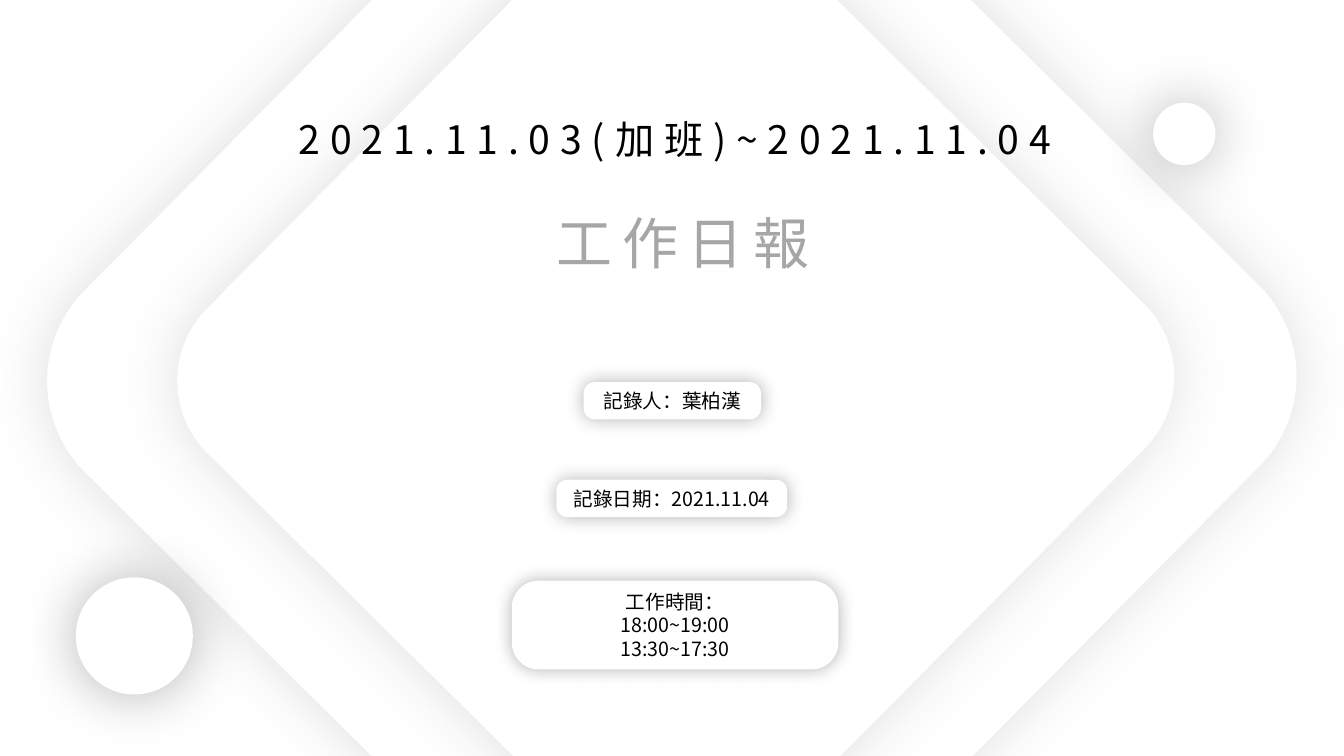
from lxml import etree
from pptx import Presentation
from pptx import util as u
from pptx.dml.color import RGBColor
from pptx.enum import shapes, text
from pptx.oxml.ns import qn

FACE = "Noto Sans CJK SC"
ROUND = shapes.MSO_SHAPE.ROUNDED_RECTANGLE
OVAL = shapes.MSO_SHAPE.OVAL


def paint(fill, shade):
    """Give a fill one solid colour."""
    fill.solid()
    fill.fore_color.rgb = RGBColor.from_string(shade)


def glow(shape, shade, alpha, blur):
    """Add a soft centred shadow, with alpha in percent and blur in points."""
    shape.shadow.inherit = False
    halo = shape.element.spPr.find(qn("a:effectLst"))
    outer = etree.SubElement(halo, qn("a:outerShdw"), blurRad=str(u.Pt(blur)),
                             dist="0", dir="0", algn="ctr", rotWithShape="0")
    tint = etree.SubElement(outer, qn("a:srgbClr"), val=shade)
    etree.SubElement(tint, qn("a:alpha"), val=str(alpha * 1000))


def panel(slide, kind, left, top, width, height, shade, alpha, blur):
    """Add a white shape without outline that casts a soft shadow."""
    shape = slide.shapes.add_shape(kind, u.Cm(left), u.Cm(top), u.Cm(width), u.Cm(height))
    paint(shape.fill, "FFFFFF")
    shape.line.fill.background()
    glow(shape, shade, alpha, blur)
    return shape


def write(shape, lines, size, shade, track=0, wrap=True):
    """Set centred lines of text in a shape, with tracking in points."""
    frame = shape.text_frame
    frame.text = "\n".join(lines)
    frame.word_wrap = wrap
    frame.auto_size = text.MSO_AUTO_SIZE.NONE
    frame.vertical_anchor = text.MSO_ANCHOR.MIDDLE
    frame.margin_left = frame.margin_right = frame.margin_top = frame.margin_bottom = 0
    for para in frame.paragraphs:
        para.alignment = text.PP_ALIGN.CENTER
        if len(lines) > 1:
            para.line_spacing = u.Pt(17)
        para.font.size = u.Pt(size)
        para.font.name = FACE
        paint(para.font.fill, shade)
        props = para.font.fill and shape.element.findall(".//" + qn("a:defRPr"))[-1]
        props.set("spc", str(track * 100))
        etree.SubElement(props, qn("a:ea"), typeface=FACE)


def diamond(slide, left, top, side):
    """Add a large rounded square turned on its corner."""
    shape = panel(slide, ROUND, left, top, side, side, "595959", 19, 43)
    shape.adjustments[0] = 0.134
    shape.rotation = 44.7


def badge(slide, left, top, width, height, *lines):
    """Add a rounded label with black text."""
    shape = panel(slide, ROUND, left, top, width, height, "000000", 30, 13)
    shape.adjustments[0] = 0.302
    write(shape, lines, 14, "000000", wrap=False)


def head(slide, words):
    """Move the title to the front, place it and format it."""
    title = slide.shapes.title
    title.element.getparent().append(title.element)
    title.left, title.top = u.Cm(11.18), u.Cm(5.11)
    title.width, title.height = u.Cm(12.07), u.Cm(1.96)
    write(title, [words], 40, "A6A6A6", track=7)


def main():
    """Build the cover slide and save it."""
    deck = Presentation()
    deck.slide_width, deck.slide_height = u.Cm(33.87), u.Cm(19.05)
    slide = deck.slides.add_slide(deck.slide_layouts[5])
    paint(slide.background.fill, "FFFFFF")

    diamond(slide, 4.85, -2.54, 24.16)
    diamond(slide, 7.39, -0.1, 19.28)

    dates = slide.shapes.add_textbox(u.Cm(6.76), u.Cm(2.77), u.Cm(20.5), u.Cm(1.45))
    write(dates, ["2021.11.03(加班)~2021.11.04"], 28, "000000", track=7)
    head(slide, "工作日報")

    for left, top, size in ((1.91, 14.55, 2.95), (29.06, 2.59, 1.57)):
        panel(slide, OVAL, left, top, size, size, "000000", 30, 43)

    badge(slide, 14.71, 9.63, 4.47, 0.94, "記錄人：葉柏漢")
    badge(slide, 14.02, 12.09, 5.82, 0.94, "記錄日期：2021.11.04")
    badge(slide, 12.9, 14.63, 8.23, 2.24, "工作時間：", "18:00~19:00", "13:30~17:30")

    deck.save("out.pptx")


if __name__ == "__main__":
    main()
